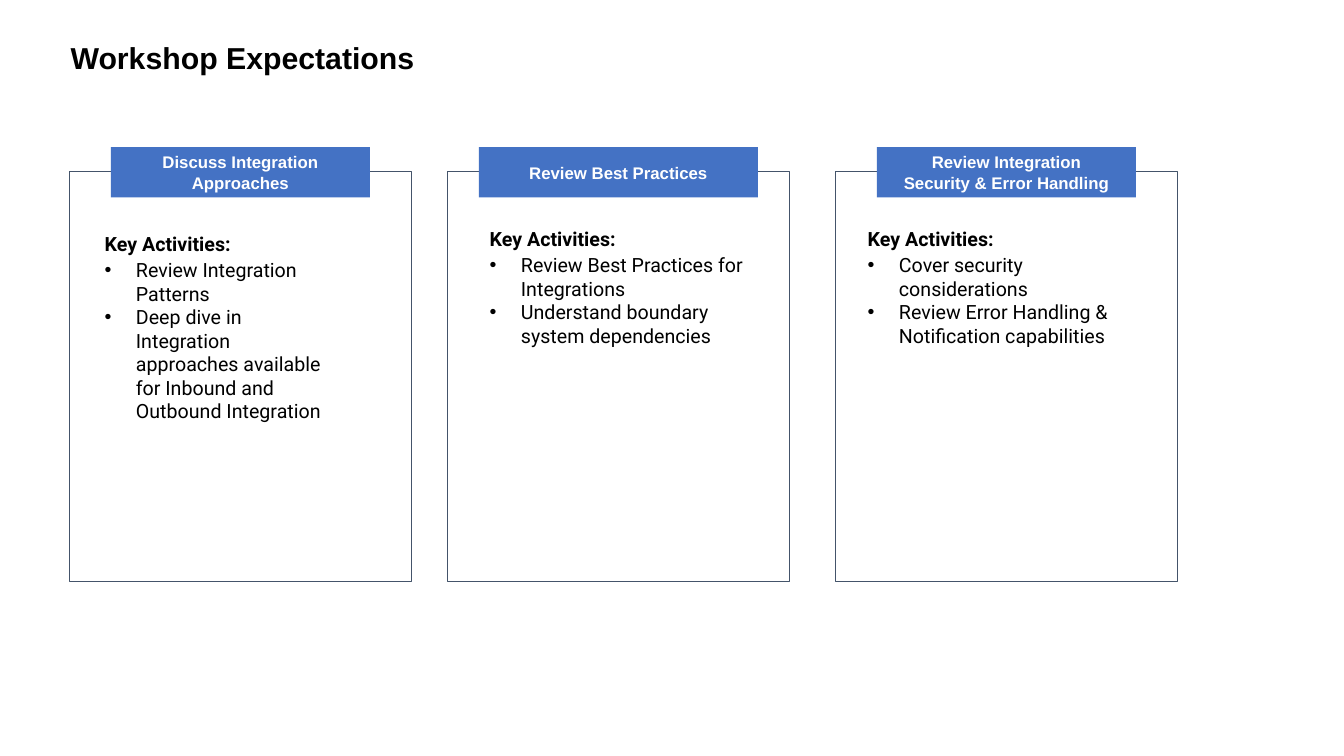
from typing import NamedTuple

from lxml import etree
from pptx import Presentation
from pptx.dml.color import RGBColor
from pptx.enum.shapes import MSO_SHAPE
from pptx.enum.text import MSO_ANCHOR, MSO_AUTO_SIZE, PP_ALIGN
from pptx.oxml.ns import qn
from pptx.util import Inches, Pt

RECTANGLE = MSO_SHAPE.RECTANGLE
MIDDLE = MSO_ANCHOR.MIDDLE
LEFT, CENTER = PP_ALIGN.LEFT, PP_ALIGN.CENTER
NO_FIT, GROW = MSO_AUTO_SIZE.NONE, MSO_AUTO_SIZE.SHAPE_TO_FIT_TEXT

BLACK = RGBColor(0x00, 0x00, 0x00)
WHITE = RGBColor(0xFF, 0xFF, 0xFF)
BLUE = RGBColor(0x44, 0x72, 0xC4)
SLATE = RGBColor(0x44, 0x54, 0x6A)

CELL = Inches(0.1)
SLIDE_COLUMNS, SLIDE_ROWS = 133.33, 75
TAB_RISE, TAB_ROWS = 2.4, 5
BULLET_INDENT = Inches(0.31)

TITLE_FONT = {"name": "Arial", "size": Pt(21.6), "bold": True}
TAB_FONT = {"name": "Arial", "size": Pt(12), "bold": True}
HEADING_FONT = {"name": "Roboto", "size": Pt(14), "bold": True}
ACTIVITY_FONT = {**HEADING_FONT, "bold": False}


class Box(NamedTuple):
    column: float
    row: float
    columns: float
    rows: float

    def lengths(self):
        return [round(cells * CELL) for cells in self]


class Card(NamedTuple):
    column: float
    heading: str
    tab_columns: float
    body: Box
    activities: tuple


CARD_ROW, CARD_COLUMNS, CARD_ROWS = 17, 33.9, 40.7
CARDS = [
    Card(6.9, "Discuss Integration Approaches", 25.7, Box(2.5, 5.5, 24.8, 22.5),
         ("Review Integration Patterns",
          "Deep dive in Integration approaches available for Inbound and Outbound Integration")),
    Card(44.4, "Review Best Practices", 27.7, Box(3.2, 5, 27.7, 13.1),
         ("Review Best Practices for Integrations",
          "Understand boundary system dependencies")),
    Card(82.9, "Review Integration Security & Error Handling", 25.7, Box(2.2, 5, 28.8, 13.1),
         ("Cover security considerations",
          "Review Error Handling & Notification capabilities")),
]


def set_attributes(target, values):
    for name, value in values.items():
        setattr(target, name, value)


def write(paragraph, text, font, color):
    run = paragraph.add_run()
    run.text = text
    set_attributes(run.font, font)
    run.font.color.rgb = color


def add_bullet(paragraph):
    properties = paragraph._p.get_or_add_pPr()
    properties.set("marL", str(BULLET_INDENT))
    properties.set("indent", str(-BULLET_INDENT))
    etree.SubElement(properties, qn("a:buFont")).set("typeface", "Arial")
    etree.SubElement(properties, qn("a:buChar")).set("char", "•")


def add_title(slide, box, text):
    title = slide.shapes.title
    title.left, title.top, title.width, title.height = box.lengths()
    set_attributes(title.text_frame, {"vertical_anchor": MIDDLE, "auto_size": NO_FIT})
    paragraph = title.text_frame.paragraphs[0]
    set_attributes(paragraph, {"alignment": LEFT, "line_spacing": 0.9})
    write(paragraph, text, TITLE_FONT, BLACK)


def add_rectangle(slide, box):
    rectangle = slide.shapes.add_shape(RECTANGLE, *box.lengths())
    rectangle.shadow.inherit = False
    return rectangle


def add_tab(slide, box, text):
    tab = add_rectangle(slide, box)
    tab.fill.solid()
    tab.fill.fore_color.rgb = BLUE
    tab.line.fill.background()
    margins = ("margin_left", "margin_top", "margin_right", "margin_bottom")
    set_attributes(tab.text_frame, dict.fromkeys(margins, Inches(0.2)))
    set_attributes(tab.text_frame, {"word_wrap": True, "vertical_anchor": MIDDLE})
    paragraph = tab.text_frame.paragraphs[0]
    paragraph.alignment = CENTER
    write(paragraph, text, TAB_FONT, WHITE)


def add_activities(slide, box, activities):
    frame = slide.shapes.add_textbox(*box.lengths()).text_frame
    set_attributes(frame, {"word_wrap": True, "auto_size": GROW})
    heading = frame.paragraphs[0]
    heading.space_after = Pt(2)
    write(heading, "Key Activities:", HEADING_FONT, BLACK)
    for activity in activities:
        paragraph = frame.add_paragraph()
        add_bullet(paragraph)
        write(paragraph, activity, ACTIVITY_FONT, BLACK)


def add_card(slide, box, card):
    frame = add_rectangle(slide, box)
    frame.fill.background()
    frame.line.color.rgb = SLATE
    frame.line.width = Pt(1)
    tab_column = box.column + (box.columns - card.tab_columns) / 2
    add_tab(slide, Box(tab_column, box.row - TAB_RISE, card.tab_columns, TAB_ROWS), card.heading)
    body = card.body._replace(column=box.column + card.body.column, row=box.row + card.body.row)
    add_activities(slide, body, card.activities)


def main():
    presentation = Presentation()
    presentation.slide_width = round(SLIDE_COLUMNS * CELL)
    presentation.slide_height = SLIDE_ROWS * CELL
    slide = presentation.slides.add_slide(presentation.slide_layouts.get_by_name("Title Only"))
    add_title(slide, Box(6, 3.7, 123.1, 4.5), "Workshop Expectations")
    for card in CARDS:
        add_card(slide, Box(card.column, CARD_ROW, CARD_COLUMNS, CARD_ROWS), card)
    presentation.save("out.pptx")


if __name__ == "__main__":
    main()
